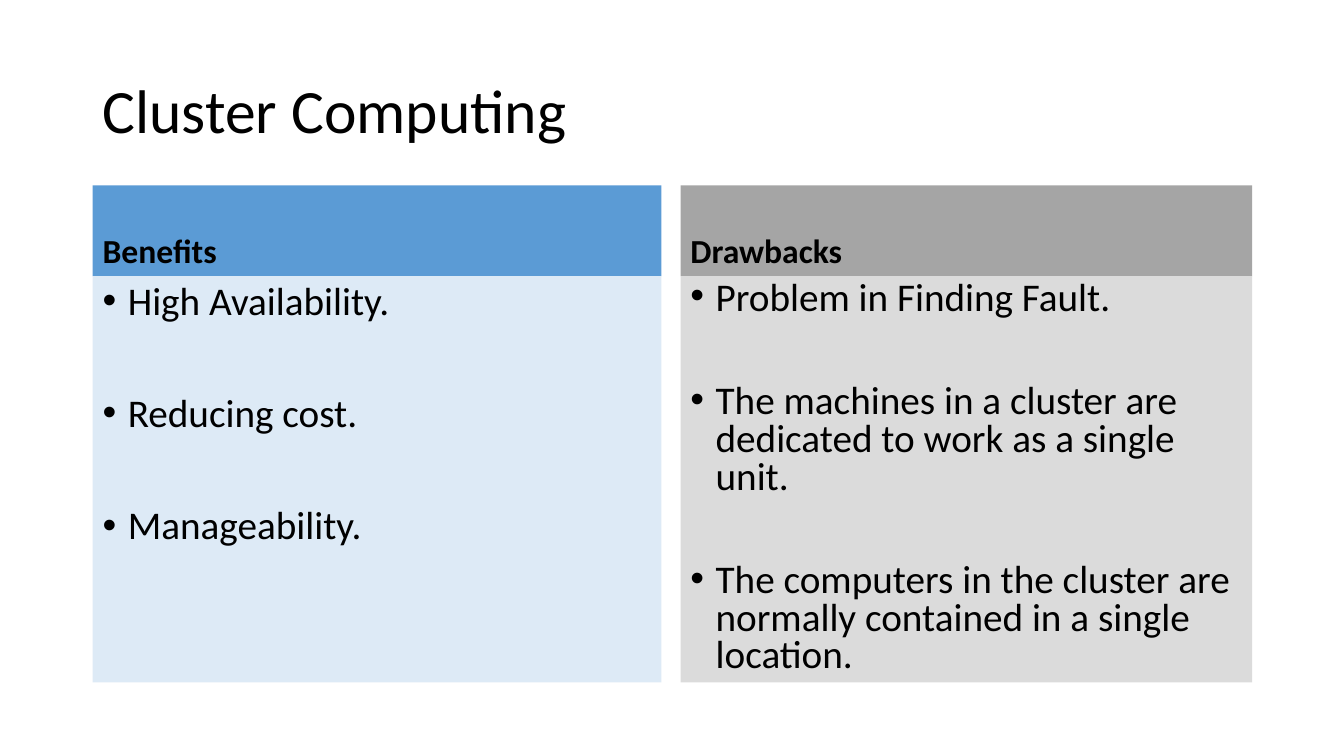
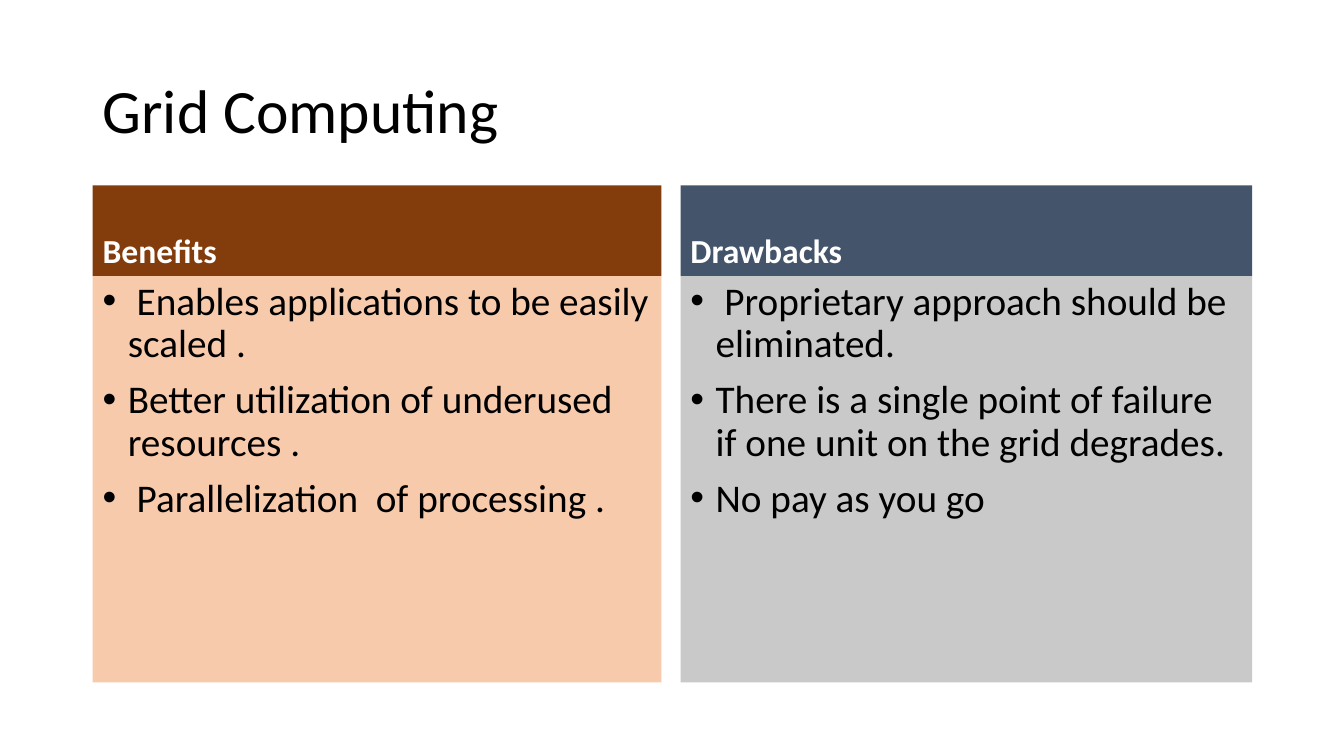
"""Build two slides comparing the benefits and drawbacks of computing models."""
import dataclasses
from typing import Any

import lxml.etree
import pptx
import pptx.dml.color
import pptx.enum.shapes
import pptx.enum.text
import pptx.oxml.ns
import pptx.util

Inches = pptx.util.Inches
Pt = pptx.util.Pt
ANCHOR = pptx.enum.text.MSO_ANCHOR

COLORS = {
    "black": "000000", "white": "FFFFFF",
    "blue": "5B9BD5", "pale_blue": "DDEAF6",
    "gray": "A5A5A5", "pale_gray": "DBDBDB",
    "brown": "833C0B", "peach": "F7CAAC",
    "slate": "44546A", "silver": "C9C9C9",
}
TITLE_FONT = {"name": "Calibri", "size": Pt(44)}
HEADER_FONT = {"name": "Calibri", "size": Pt(24), "bold": True}
BODY_FONT = {"name": "Calibri", "size": Pt(28)}

LEFT, TITLE_TOP, TITLE_W, TITLE_H = 0.92, 0.4, 11.5, 1.45
HEADER_TOP, HEADER_H, BODY_H = 1.84, 0.9, 4.03
COLUMNS = ((LEFT, 5.64), (6.75, 5.67))


@dataclasses.dataclass(frozen=True)
class Panel:
    heading: str
    items: tuple[str, ...]
    header_fill: str
    body_fill: str
    header_color: str = "black"
    line_spacing: float = 0.9
    gap: float = 10


@dataclasses.dataclass(frozen=True)
class Page:
    title: str
    panels: tuple[Panel, Panel]


PAGES = (
    Page("Cluster Computing", (
        Panel("Benefits", ("High Availability.", "Reducing cost.", "Manageability."),
              "blue", "pale_blue", gap=50),
        Panel("Drawbacks", (
            "Problem in Finding Fault.",
            "The machines in a cluster are dedicated to work as a single unit.",
            "The computers in the cluster are normally contained in a single location.",
        ), "gray", "pale_gray", line_spacing=0.8, gap=47),
    )),
    Page("Grid Computing", (
        Panel("Benefits", (
            " Enables applications to be easily scaled .",
            "Better utilization of underused resources .",
            " Parallelization  of processing .",
        ), "brown", "peach", "white"),
        Panel("Drawbacks", (
            " Proprietary approach should be eliminated.",
            "There is a single point of failure if one unit on the grid degrades.",
            "No pay as you go",
        ), "slate", "silver", "white"),
    )),
)


def rgb(name: str) -> pptx.dml.color.RGBColor:
    return pptx.dml.color.RGBColor.from_string(COLORS[name])


def set_attributes(target: Any, values: dict[str, Any]) -> None:
    for name, value in values.items():
        setattr(target, name, value)


def add_bullet(p: Any) -> None:
    qn = pptx.oxml.ns.qn
    pPr = p._p.get_or_add_pPr()
    pPr.set("marL", str(Inches(0.25)))
    pPr.set("indent", str(Inches(-0.25)))
    color = lxml.etree.SubElement(pPr, qn("a:buClr"))
    lxml.etree.SubElement(color, qn("a:srgbClr"), val=COLORS["black"])
    lxml.etree.SubElement(pPr, qn("a:buFont"), typeface="Arial")
    lxml.etree.SubElement(pPr, qn("a:buChar"), char="•")


def write_text(sp: Any, lines: tuple[str, ...], font: dict[str, Any], color: str,
               anchor: Any, line_spacing: float = 0.9, gap: float = 0,
               bullets: bool = False) -> None:
    tf = sp.text_frame
    set_attributes(tf, {
        "word_wrap": True, "vertical_anchor": anchor,
        "margin_left": Inches(0.1), "margin_right": Inches(0.1),
        "margin_top": Inches(0.05), "margin_bottom": Inches(0.05),
    })
    for i, line in enumerate(lines):
        p = tf.add_paragraph() if i else tf.paragraphs[0]
        set_attributes(p, {
            "alignment": pptx.enum.text.PP_ALIGN.LEFT,
            "line_spacing": line_spacing,
            "space_before": Pt(gap if i else 0),
        })
        if bullets:
            add_bullet(p)
        r = p.add_run()
        r.text = line
        set_attributes(r.font, font)
        r.font.color.rgb = rgb(color)


def add_box(s: Any, x: float, y: float, w: float, h: float, fill: str) -> Any:
    sp = s.shapes.add_shape(pptx.enum.shapes.MSO_SHAPE.RECTANGLE,
                            Inches(x), Inches(y), Inches(w), Inches(h))
    sp.shadow.inherit = False
    sp.fill.solid()
    sp.fill.fore_color.rgb = rgb(fill)
    sp.line.fill.background()
    return sp


def add_panel(s: Any, panel: Panel, x: float, w: float) -> None:
    header = add_box(s, x, HEADER_TOP, w, HEADER_H, panel.header_fill)
    write_text(header, (panel.heading,), HEADER_FONT, panel.header_color, ANCHOR.BOTTOM)
    body = add_box(s, x, HEADER_TOP + HEADER_H, w, BODY_H, panel.body_fill)
    write_text(body, panel.items, BODY_FONT, "black", ANCHOR.TOP,
               panel.line_spacing, panel.gap, bullets=True)


def add_page(prs: Any, page: Page) -> None:
    s = prs.slides.add_slide(prs.slide_layouts[6])
    title = s.shapes.add_textbox(Inches(LEFT), Inches(TITLE_TOP),
                                 Inches(TITLE_W), Inches(TITLE_H))
    write_text(title, (page.title,), TITLE_FONT, "black", ANCHOR.MIDDLE)
    for panel, (x, w) in zip(page.panels, COLUMNS):
        add_panel(s, panel, x, w)


def main() -> None:
    prs = pptx.Presentation()
    set_attributes(prs, {"slide_width": Inches(13.33), "slide_height": Inches(7.5)})
    for page in PAGES:
        add_page(prs, page)
    prs.save("out.pptx")


if __name__ == "__main__":
    main()
